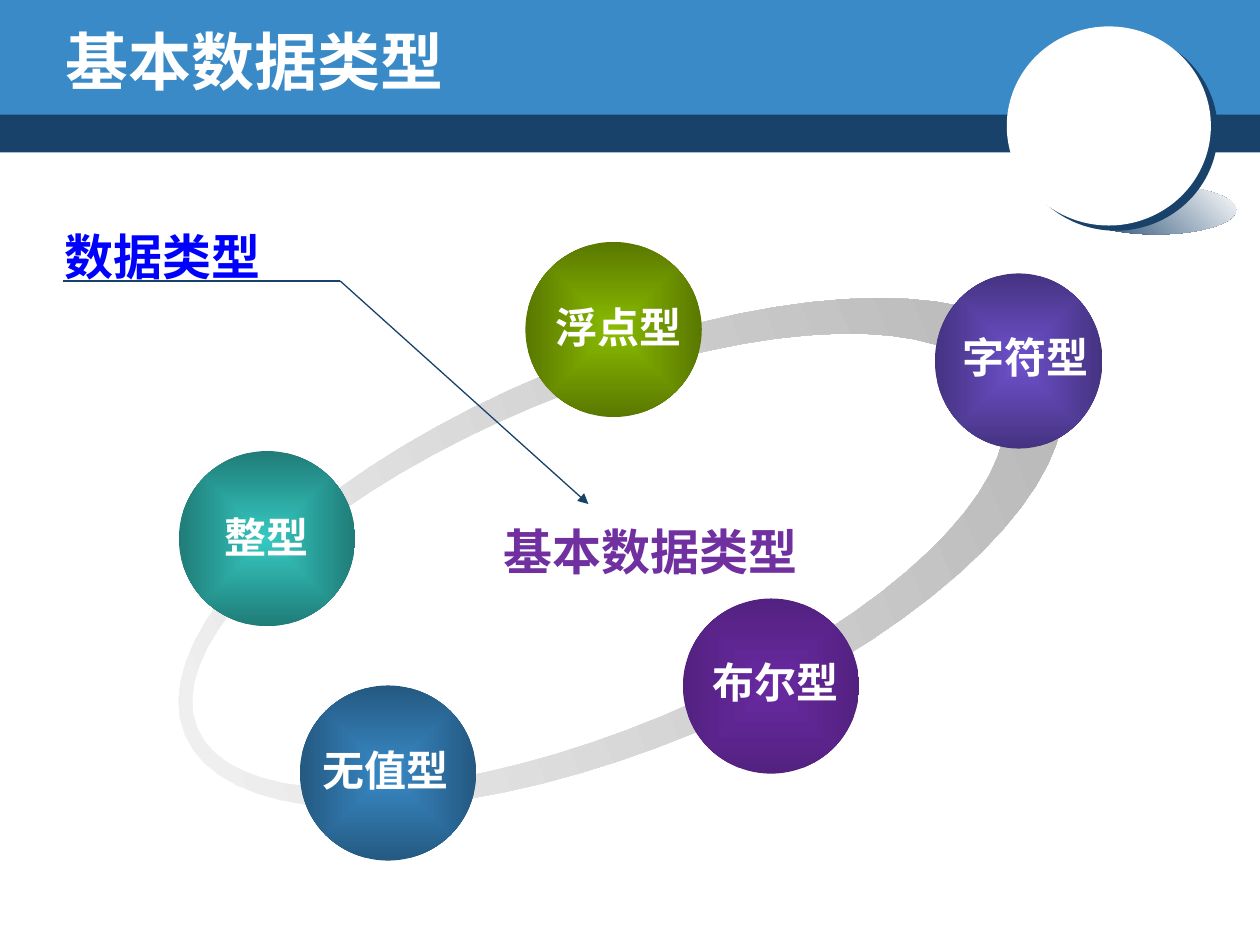
import math

from lxml import etree
from pptx import Presentation
from pptx import util as u
from pptx.dml.color import RGBColor
from pptx.enum import shapes, text
from pptx.oxml import parse_xml
from pptx.oxml.ns import nsdecls, qn

FONT = "Noto Sans CJK SC"
NAVY, BLUE, WHITE = "19426B", "398AC7", "FFFFFF"

# Ring: centre and radii of both outlines, before the ring is turned
RING_OUTER = (4.93, 4.39, 3.75, 1.54)
RING_INNER = (4.74, 4.38, 3.45, 1.33)
RING_TURN = 337.4
RING_STEPS = 72

# Disc left, top, width, colour, edge shade in percent; label, left, top, width
DISCS = [
    (4.17, 1.92, 1.4, "8BBC00", 36, "浮点型", 4.31, 2.34, 1.22),
    (1.42, 3.58, 1.4, "35C9C2", 33, "整型", 1.68, 4.01, 0.88),
    (2.38, 5.44, 1.4, BLUE, 37, "无值型", 2.46, 5.86, 1.22),
    (5.42, 4.75, 1.4, "692AA2", 59, "布尔型", 5.56, 5.16, 1.22),
    (7.42, 2.17, 1.33, "6D50CA", 36, "字符型", 7.54, 2.58, 1.22),
]


def color(value):
    return RGBColor.from_string(value)


def inches(*lengths):
    return [u.Inches(length) for length in lengths]


def fill_gradient(shape, start, end, direction, shade=100):
    """Two-stop gradient; direction is the XML of its course."""
    props = shape._element.spPr
    gradient = parse_xml(
        f'<a:gradFill {nsdecls("a")} rotWithShape="1"><a:gsLst>'
        f'<a:gs pos="0"><a:srgbClr val="{start}"/></a:gs>'
        f'<a:gs pos="100000"><a:srgbClr val="{end}">'
        f'<a:shade val="{shade * 1000}"/></a:srgbClr></a:gs>'
        f'</a:gsLst>{direction}</a:gradFill>')
    geometry = props.find(qn("a:prstGeom"))
    if geometry is None:
        geometry = props.find(qn("a:custGeom"))
    geometry.addnext(gradient)


def linear(angle):
    return f'<a:lin ang="{angle * 60000}" scaled="0"/>'


def from_centre():
    return ('<a:path path="shape"><a:fillToRect l="50000" t="50000" '
            'r="50000" b="50000"/></a:path>')


def add_shape(page, kind, at, fill=None):
    shape = page.shapes.add_shape(kind, *inches(*at))
    shape.shadow.inherit = False
    shape.line.fill.background()
    if fill:
        shape.fill.solid()
        shape.fill.fore_color.rgb = color(fill)
    return shape


def add_span(para, words, size, fill):
    span = para.add_run()
    span.text = words
    span.font.name = FONT
    span.font.size = u.Pt(size)
    span.font.bold = True
    span.font.color.rgb = color(fill)
    east_asian = etree.SubElement(span._r.get_or_add_rPr(), qn("a:ea"))
    east_asian.set("typeface", FONT)


def add_label(page, words, at, size, fill, align=text.PP_ALIGN.LEFT, wrap=False):
    box = page.shapes.add_textbox(*inches(*at))
    frame = box.text_frame
    frame.word_wrap = wrap
    frame.auto_size = text.MSO_AUTO_SIZE.SHAPE_TO_FIT_TEXT
    para = frame.paragraphs[0]
    para.alignment = align
    add_span(para, words, size, fill)


def add_line(page, start, end, arrow=False):
    line = page.shapes.add_connector(
        shapes.MSO_CONNECTOR.STRAIGHT, *inches(*start, *end))
    line.line.color.rgb = color(NAVY)
    line.line.width = u.Pt(0.75)
    if arrow:
        tail = etree.SubElement(line.line._get_or_add_ln(), qn("a:tailEnd"))
        tail.set("type", "triangle")
    etree.SubElement(line._element.spPr, qn("a:effectLst"))


def ellipse_points(centre_x, centre_y, radius_x, radius_y):
    angles = [2 * math.pi * step / RING_STEPS for step in range(RING_STEPS)]
    return [inches(centre_x + radius_x * math.cos(angle),
                   centre_y + radius_y * math.sin(angle)) for angle in angles]


def add_ring(page):
    outer = ellipse_points(*RING_OUTER)
    inner = ellipse_points(*RING_INNER)[::-1]
    builder = page.shapes.build_freeform(*outer[0])
    builder.add_line_segments(outer[1:])
    builder.move_to(*inner[0])
    builder.add_line_segments(inner[1:])
    ring = builder.convert_to_shape()
    ring.shadow.inherit = False
    ring.line.fill.background()
    ring.rotation = RING_TURN
    fill_gradient(ring, "F7F7F7", "B2B2B2", linear(0))


def add_banner(page):
    rect, oval = shapes.MSO_SHAPE.RECTANGLE, shapes.MSO_SHAPE.OVAL
    add_shape(page, rect, (0, 0.87, 10, 0.34), NAVY)
    add_shape(page, rect, (0, 0, 10, 0.91), BLUE)
    # White medallion with its floor shadow and hard edge
    floor = add_shape(page, oval, (8.54, 1.47, 1.27, 0.39))
    fill_gradient(floor, NAVY, WHITE, linear(315))
    medallion = add_shape(page, oval, (7.99, 0.21, 1.62, 1.58), WHITE)
    effects = medallion._element.spPr.find(qn("a:effectLst"))
    effects.append(parse_xml(
        f'<a:outerShdw {nsdecls("a")} blurRad="0" dist="{u.Pt(5)}" '
        f'dir="{37 * 60000}" algn="ctr" rotWithShape="0">'
        f'<a:srgbClr val="{NAVY}"/></a:outerShdw>'))


def set_title(page, words):
    title = page.shapes.title
    title.left, title.top, title.width, title.height = inches(0.42, 0.17, 8.08, 0.62)
    frame = title.text_frame
    frame.auto_size = text.MSO_AUTO_SIZE.NONE
    frame.vertical_anchor = text.MSO_ANCHOR.MIDDLE
    para = frame.paragraphs[0]
    para.alignment = text.PP_ALIGN.LEFT
    add_span(para, words, 36, WHITE)
    # Bring the title in front of the banner
    page.shapes._spTree.append(title._element)


def main():
    deck = Presentation()
    deck.slide_width, deck.slide_height = inches(10, 7.5)
    page = deck.slides.add_slide(deck.slide_layouts[5])

    add_banner(page)
    add_ring(page)

    # Discs first, then their labels
    for left, top, width, fill, shade, *_ in DISCS:
        disc = add_shape(page, shapes.MSO_SHAPE.OVAL, (left, top, width, 1.39))
        fill_gradient(disc, fill, fill, from_centre(), shade)
    for *_, words, left, top, width in DISCS:
        add_label(page, words, (left, top, width, 0.5), 24, WHITE)

    # Centre caption and its callout
    centre = text.PP_ALIGN.CENTER
    add_label(page, "基本数据类型", (3.75, 4.09, 2.83, 0.57), 28, "7030A0", centre, True)
    add_line(page, (2.7, 2.23), (4.67, 4), arrow=True)
    add_line(page, (2.7, 2.23), (0.5, 2.23))
    add_label(page, "数据类型", (0.4, 1.75, 1.78, 0.57), 28, "0000FF", centre)

    set_title(page, "基本数据类型")
    deck.save("out.pptx")


if __name__ == "__main__":
    main()
